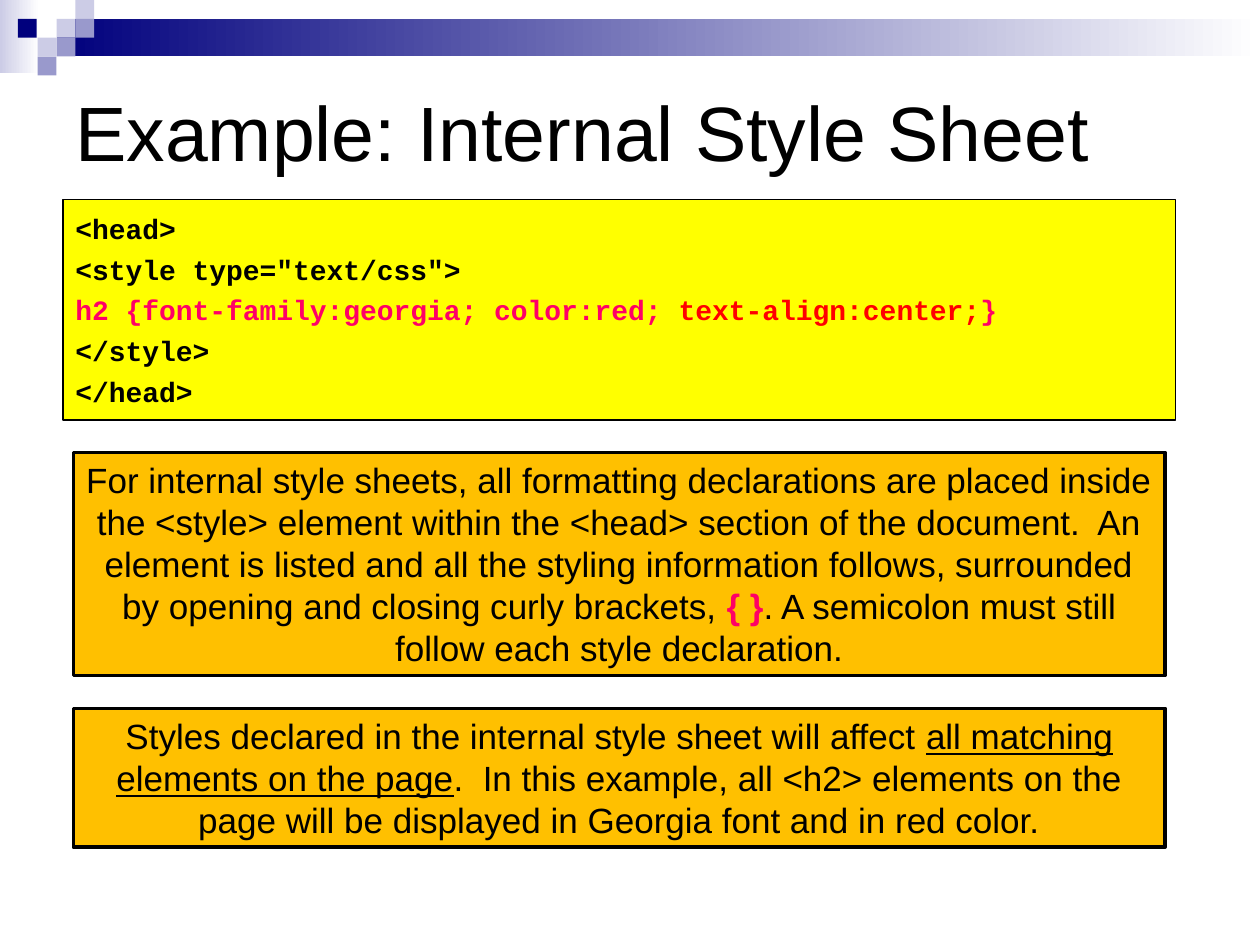
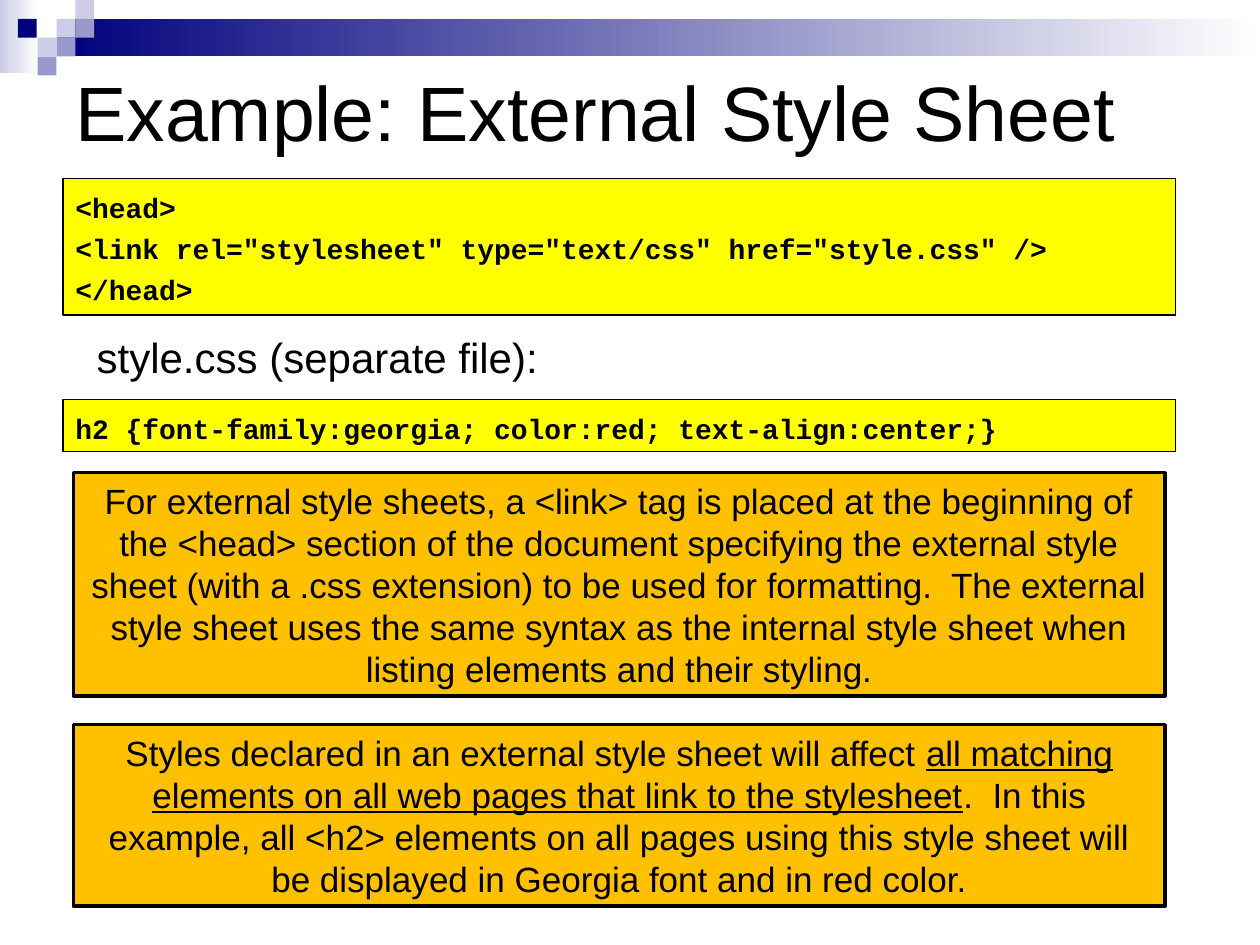
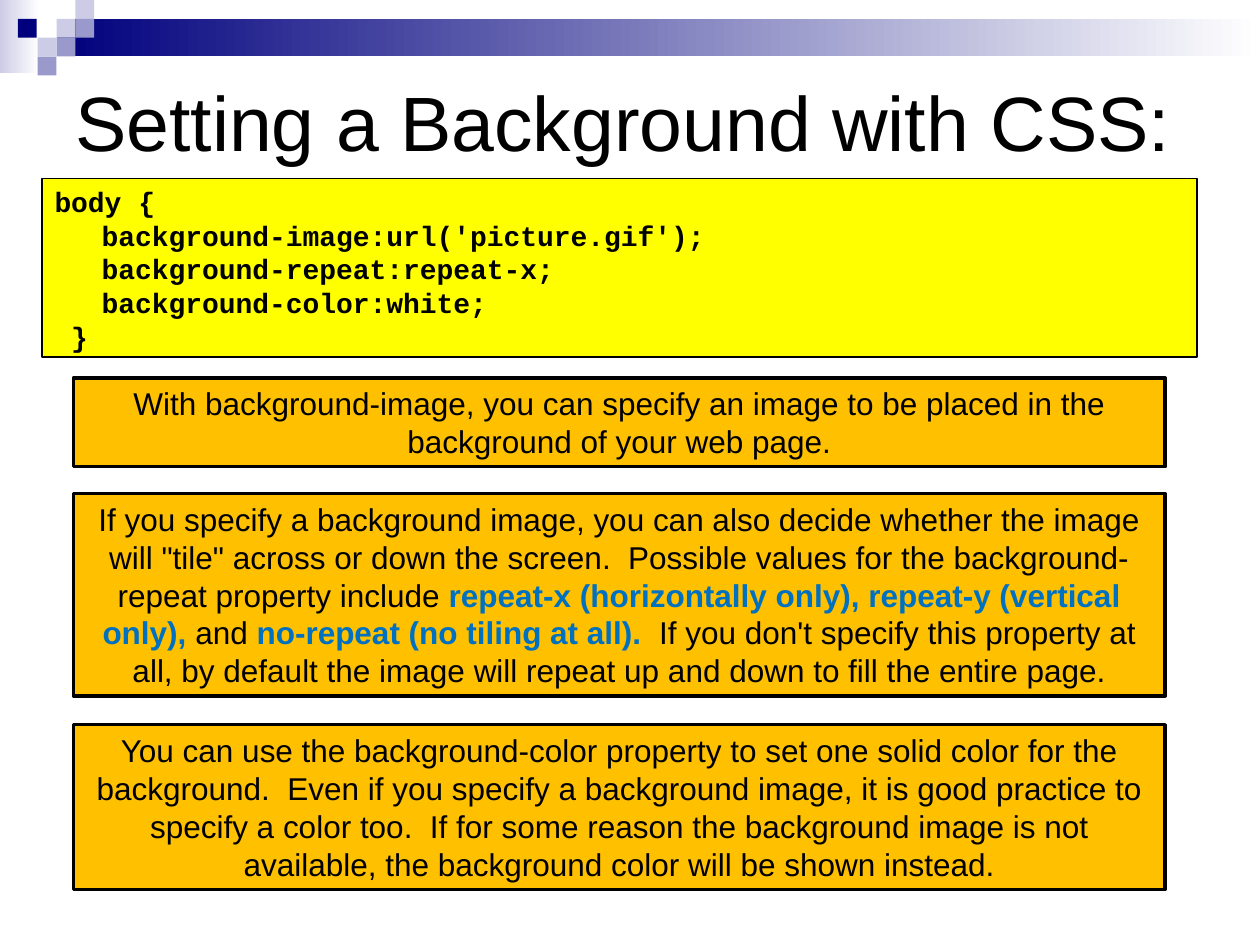
import pptx
import pptx.dml.color
import pptx.enum.shapes
import pptx.enum.text
import pptx.util

# Colours
BLACK = pptx.dml.color.RGBColor(0x00, 0x00, 0x00)
WHITE = pptx.dml.color.RGBColor(0xFF, 0xFF, 0xFF)
NAVY = pptx.dml.color.RGBColor(0x00, 0x00, 0x7D)
LILAC = pptx.dml.color.RGBColor(0x99, 0x99, 0xCC)
PALE_LILAC = pptx.dml.color.RGBColor(0xCC, 0xCC, 0xE6)
YELLOW = pptx.dml.color.RGBColor(0xFF, 0xFF, 0x00)
AMBER = pptx.dml.color.RGBColor(0xFF, 0xC0, 0x00)
PINK = pptx.dml.color.RGBColor(0xFF, 0x00, 0x66)
RED = pptx.dml.color.RGBColor(0xFF, 0x00, 0x00)
BLUE = pptx.dml.color.RGBColor(0x00, 0x70, 0xC0)

# Shared layout, in centimetres
TILE = 0.38
TILES = [  # left, top, colour
    (1.14, 0.38, PALE_LILAC), (1.52, 0, PALE_LILAC), (1.52, 0.38, LILAC),
    (0.76, 0.76, PALE_LILAC), (0.36, 0.38, NAVY), (1.14, 0.76, LILAC),
    (0.76, 1.14, LILAC),
]
CODE_LEFT, CODE_WIDTH = 1.27, 22.43
NOTE_LEFT, NOTE_WIDTH = 1.48, 22.01
LEADING = 1.2


def place(*lengths):
    return [pptx.util.Cm(length) for length in lengths]


def add_box(slide, left, top, width, height):
    box = slide.shapes.add_shape(
        pptx.enum.shapes.MSO_SHAPE.RECTANGLE, *place(left, top, width, height))
    box.shadow.inherit = False
    box.line.fill.background()
    return box


def add_solid(slide, left, top, width, height, color, border=None):
    box = add_box(slide, left, top, width, height)
    box.fill.solid()
    box.fill.fore_color.rgb = color
    if border:
        box.line.color.rgb = BLACK
        box.line.width = pptx.util.Pt(border)
    return box


def add_fade(slide, left, top, width, height, color):
    """Band that fades from a colour to white."""
    fill = add_box(slide, left, top, width, height).fill
    fill.gradient()
    fill.gradient_angle = 0
    for stop, stop_color in zip(fill.gradient_stops, [color, WHITE]):
        stop.color.rgb = stop_color


def set_frame(frame, anchor, top_inset=0.13):
    frame.word_wrap = True
    frame.vertical_anchor = anchor
    frame.margin_left = frame.margin_right = pptx.util.Cm(0.25)
    frame.margin_top = pptx.util.Cm(top_inset)
    frame.margin_bottom = pptx.util.Cm(0.13)


def write_line(paragraph, segments, size, font="Arial"):
    """Fill a paragraph with plain strings and (text, style) pairs."""
    paragraph.font.name = font
    paragraph.font.size = pptx.util.Pt(size)
    paragraph.font.color.rgb = BLACK
    for segment in [segments] if isinstance(segments, str) else segments:
        text, style = (segment, {}) if isinstance(segment, str) else segment
        run = paragraph.add_run()
        run.text = text
        if "color" in style:
            run.font.color.rgb = style["color"]
        if "bold" in style:
            run.font.bold = style["bold"]
        if "underline" in style:
            run.font.underline = style["underline"]


def add_label(slide, left, top, width, height, text, size, anchor):
    label = slide.shapes.add_textbox(*place(left, top, width, height))
    set_frame(label.text_frame, anchor)
    write_line(label.text_frame.paragraphs[0], text, size)


def add_code(slide, top, height, lines, left=CODE_LEFT, width=CODE_WIDTH,
             tightness=1):
    """Yellow listing; a leading tab in a line becomes an indent."""
    frame = add_solid(slide, left, top, width, height, YELLOW, 0.75).text_frame
    set_frame(frame, pptx.enum.text.MSO_ANCHOR.TOP, 0.25)
    for index, line in enumerate(lines):
        paragraph = frame.add_paragraph() if index else frame.paragraphs[0]
        paragraph.alignment = pptx.enum.text.PP_ALIGN.LEFT
        paragraph.line_spacing = pptx.util.Pt(16 * LEADING * tightness)
        if index:
            paragraph.space_before = pptx.util.Pt(4)
        if isinstance(line, str) and line.startswith("\t"):
            indent = pptx.util.Cm(0.95)
            paragraph._p.get_or_add_pPr().set("marL", str(int(indent)))
            line = line[1:]
        write_line(paragraph, line, 16, "Courier New")
        paragraph.font.bold = True


def add_note(slide, top, height, segments, size=20):
    """Amber box with a centred explanation."""
    note = add_solid(slide, NOTE_LEFT, top, NOTE_WIDTH, height, AMBER, 2)
    set_frame(note.text_frame, pptx.enum.text.MSO_ANCHOR.TOP)
    paragraph = note.text_frame.paragraphs[0]
    paragraph.alignment = pptx.enum.text.PP_ALIGN.CENTER
    paragraph.line_spacing = pptx.util.Pt(size * LEADING)
    write_line(paragraph, segments, size)


def add_page(deck, title, title_top, title_height):
    """New slide with the gradient band, corner tiles and title."""
    slide = deck.slides.add_slide(deck.slide_layouts[6])
    add_fade(slide, 0, 0, 0.79, 1.47, PALE_LILAC)
    add_fade(slide, 1.14, 0.38, 24.26, 0.76, NAVY)
    for left, top, color in TILES:
        add_solid(slide, left, top, TILE, TILE, color)
    add_label(slide, 1.27, title_top, 22.86, title_height, title, 44,
              pptx.enum.text.MSO_ANCHOR.MIDDLE)
    return slide


def build_internal(deck):
    slide = add_page(deck, "Example: Internal Style Sheet", 1.27, 2.75)
    add_code(slide, 4.02, 4.45, [
        "<head>",
        '<style type="text/css">',
        [("h2 {font-family:georgia; color:red;", {"color": PINK}),
         (" text-align:center;", {"color": RED}),
         ("}", {"color": PINK})],
        "</style>",
        "</head>",
    ])
    add_note(slide, 9.12, 4.5, [
        "For internal style sheets, all formatting declarations are placed "
        "inside the <style> element within the <head> section of the "
        "document.  An element is listed and all the styling information "
        "follows, surrounded by opening and closing curly brackets, ",
        ("{ }", {"color": PINK, "bold": True}),
        ". A semicolon must still follow each style declaration.",
    ])
    add_note(slide, 14.28, 2.8, [
        "Styles declared in the internal style sheet will affect ",
        ("all matching elements on the page", {"underline": True}),
        ".  In this example, all <h2> elements on the page will be displayed "
        "in Georgia font and in red color.",
    ])


def build_external(deck):
    slide = add_page(deck, "Example: External Style Sheet", 1.07, 2.34)
    add_code(slide, 3.6, 2.75, [
        "<head>",
        '<link rel="stylesheet" type="text/css" href="style.css" />',
        "</head>",
    ])
    add_label(slide, 1.7, 6.56, 10.16, 1.27, "style.css (separate file):", 24,
              pptx.enum.text.MSO_ANCHOR.TOP)
    add_code(slide, 8.05, 1.06,
             ["h2 {font-family:georgia; color:red; text-align:center;}"])
    add_note(slide, 9.53, 4.5,
             "For external style sheets, a <link> tag is placed at the "
             "beginning of the <head> section of the document specifying the "
             "external style sheet (with a .css extension) to be used for "
             "formatting.  The external style sheet uses the same syntax as "
             "the internal style sheet when listing elements and their "
             "styling.")
    add_note(slide, 14.61, 3.66, [
        "Styles declared in an external style sheet will affect ",
        ("all matching elements on all web pages that link to the stylesheet",
         {"underline": True}),
        ".  In this example, all <h2> elements on all pages using this style "
        "sheet will be displayed in Georgia font and in red color.",
    ])


def build_background(deck):
    slide = add_page(deck, "Setting a Background with CSS:", 0.85, 3.18)
    add_code(slide, 3.6, 3.6, [
        "body {",
        "\tbackground-image:url('picture.gif');",
        "\tbackground-repeat:repeat-x;",
        "\tbackground-color:white;",
        " }",
    ], left=0.85, width=23.28, tightness=0.8)
    add_note(slide, 7.62, 1.79,
             "With background-image, you can specify an image to be placed in "
             "the background of your web page.", 18)
    value = {"color": BLUE, "bold": True}
    add_note(slide, 9.95, 4.08, [
        "If you specify a background image, you can also decide whether the "
        'image will "tile" across or down the screen.  Possible values for '
        "the background-repeat property include ",
        ("repeat-x (horizontally only), repeat-y (vertical only), ", value),
        "and ",
        ("no-repeat (no tiling at all).  ", value),
        "If you don't specify this property at all, by default the image will "
        "repeat up and down to fill the entire page.",
    ], 18)
    add_note(slide, 14.61, 3.32,
             "You can use the background-color property to set one solid color "
             "for the background.  Even if you specify a background image, it "
             "is good practice to specify a color too.  If for some reason the "
             "background image is not available, the background color will be "
             "shown instead.", 18)


def main():
    deck = pptx.Presentation()
    deck.slide_width, deck.slide_height = place(25.4, 19.05)
    build_internal(deck)
    build_external(deck)
    build_background(deck)
    deck.save("out.pptx")


if __name__ == "__main__":
    main()
